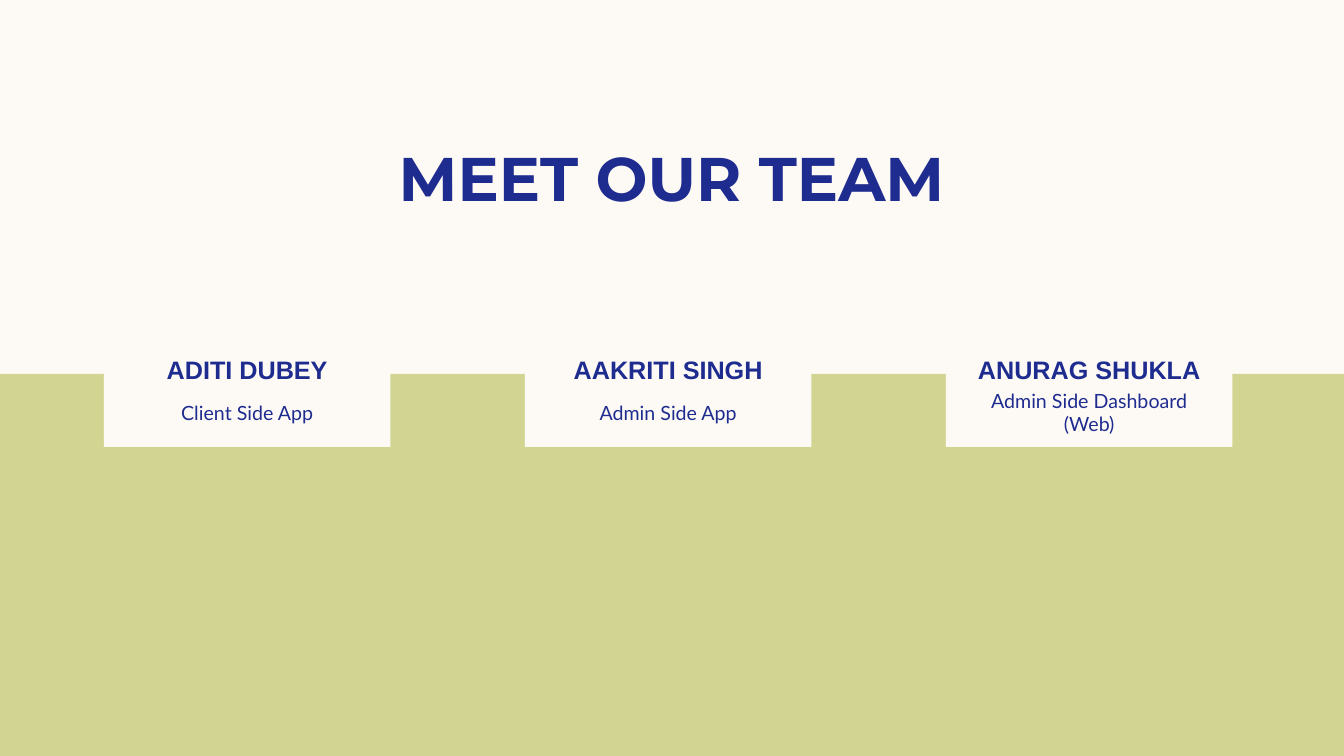
from dataclasses import dataclass

from pptx import Presentation
from pptx.dml.color import RGBColor
from pptx.enum.shapes import MSO_SHAPE
from pptx.enum.text import MSO_ANCHOR, PP_ALIGN
from pptx.util import Cm, Pt

HEADING = "MEET OUR TEAM"
TEAM = [
    ("ADITI DUBEY", "Client Side App"),
    ("AAKRITI SINGH", "Admin Side App"),
    ("ANURAG SHUKLA", "Admin Side Dashboard (Web)"),
]


@dataclass(frozen=True)
class Theme:
    cream: RGBColor = RGBColor(0xFD, 0xFA, 0xF6)
    olive: RGBColor = RGBColor(0xD2, 0xD5, 0x92)
    navy: RGBColor = RGBColor(0x1F, 0x2C, 0x8F)
    heading_font: str = "Montserrat"
    name_font: str = "Arial"
    role_font: str = "Lato"
    heading_size: int = 44
    name_size: int = 18
    role_size: int = 14


THEME = Theme()

SLIDE_WIDTH, SLIDE_HEIGHT = Cm(33.87), Cm(19.05)
BAND_TOP = Cm(9.42)
CARD_LEFT, CARD_TOP = Cm(2.62), Cm(8.18)
CARD_WIDTH, CARD_HEIGHT = Cm(7.22), Cm(3.08)
CARD_STEP = Cm(10.61)
ROLE_TOP, ROLE_WIDTH, ROLE_HEIGHT = Cm(9.88), Cm(6.35), Cm(1.02)


def add_block(slide, left, top, width, height, color):
    block = slide.shapes.add_shape(MSO_SHAPE.RECTANGLE, left, top, width, height)
    block.shadow.inherit = False
    block.fill.solid()
    block.fill.fore_color.rgb = color
    block.line.fill.background()
    return block


def write(holder, text, *, font, size, bold=False, anchor=MSO_ANCHOR.MIDDLE):
    """Put one centred navy paragraph into a shape or text box."""
    frame = holder.text_frame
    frame.word_wrap = True
    frame.vertical_anchor = anchor
    paragraph = frame.paragraphs[0]
    paragraph.text = text
    paragraph.alignment = PP_ALIGN.CENTER
    paragraph.font.name = font
    paragraph.font.size = Pt(size)
    paragraph.font.bold = bold
    paragraph.font.color.rgb = THEME.navy


def add_member(slide, left, name, role):
    card = add_block(slide, left, CARD_TOP, CARD_WIDTH, CARD_HEIGHT, THEME.cream)
    card.text_frame.margin_left = card.text_frame.margin_right = 0
    card.text_frame.margin_top = Cm(0.76)
    write(card, name, font=THEME.name_font, size=THEME.name_size, bold=True,
          anchor=MSO_ANCHOR.TOP)
    role_left = left + (CARD_WIDTH - ROLE_WIDTH) // 2
    role_box = slide.shapes.add_textbox(role_left, ROLE_TOP, ROLE_WIDTH, ROLE_HEIGHT)
    write(role_box, role, font=THEME.role_font, size=THEME.role_size)


def main():
    deck = Presentation()
    deck.slide_width, deck.slide_height = SLIDE_WIDTH, SLIDE_HEIGHT
    slide = deck.slides.add_slide(deck.slide_layouts[6])
    slide.background.fill.solid()
    slide.background.fill.fore_color.rgb = THEME.cream

    add_block(slide, 0, BAND_TOP, SLIDE_WIDTH, SLIDE_HEIGHT - BAND_TOP, THEME.olive)
    heading_box = slide.shapes.add_textbox(Cm(2.11), Cm(3.38), Cm(29.64), Cm(2.13))
    write(heading_box, HEADING, font=THEME.heading_font, size=THEME.heading_size,
          bold=True)
    for column, (name, role) in enumerate(TEAM):
        add_member(slide, CARD_LEFT + column * CARD_STEP, name, role)

    deck.save("out.pptx")


if __name__ == "__main__":
    main()
